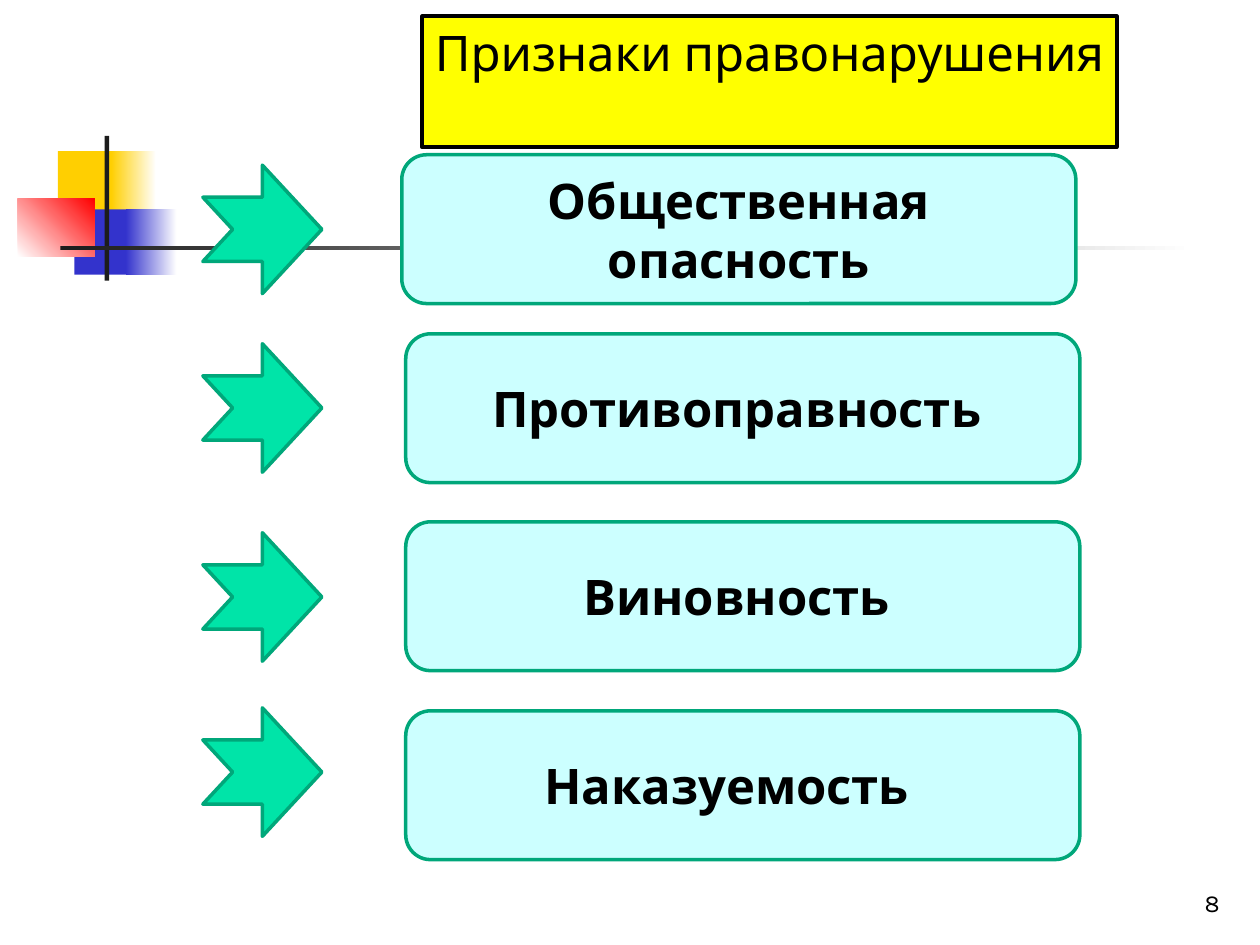
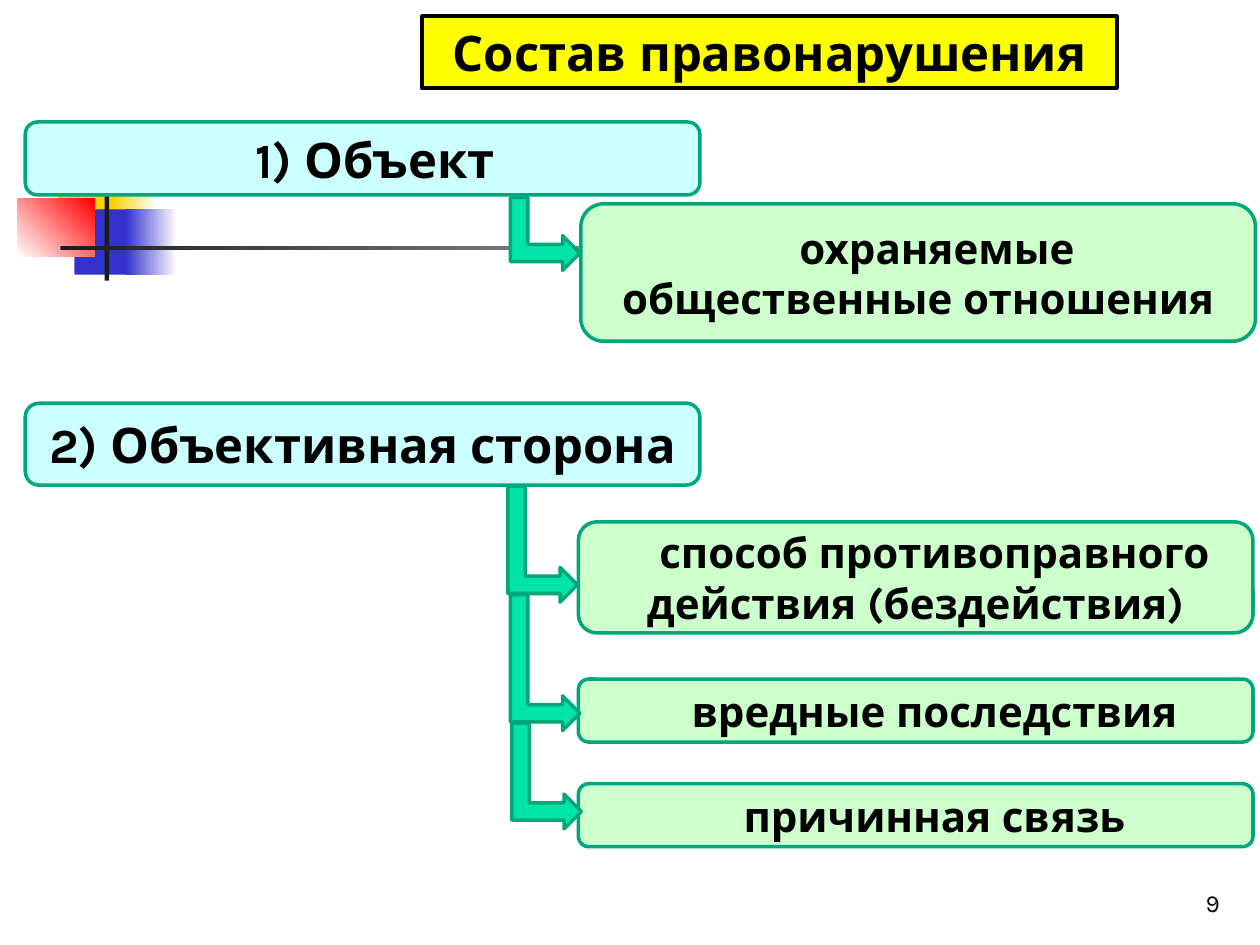
"""Build two slides on the features and the composition of an offence."""
from pptx import Presentation
from pptx import util as u
from pptx.dml.color import RGBColor
from pptx.enum import shapes, text

FONT = "Karla"
BLACK, WHITE, DARK = "000000", "FFFFFF", "1C1C1C"
YELLOW, GOLD, BLUE, RED = "FFFF00", "FFCF01", "3333CC", "FF0000"
CYAN, LIME, MINT, GREEN = "CCFFFF", "CCFFCC", "00E4A8", "00A77A"
KIND = shapes.MSO_SHAPE

DECOR = [
    (1.17, 3.05, 1.22, 1.32, GOLD, None, 0),
    (2.24, 3.05, 0.91, 1.32, GOLD, WHITE, 0),
    (1.5, 4.22, 1.17, 1.32, BLUE, None, 0),
    (2.54, 4.22, 1.02, 1.32, BLUE, WHITE, 0),
    (0.36, 4.01, 1.55, 1.17, WHITE, RED, 45),
    (2.11, 2.74, 0.09, 2.92, DARK, None, 0),
    (1.22, 4.95, 22.86, 0.09, DARK, WHITE, 0),
]
TITLES = [
    (8, "Признаки правонарушения", 2.64, False),
    (9, "Состав правонарушения", 1.45, True),
]
FEATURES = [
    (8.1, 3.12, 3.33, "Общественная опасность", 0.25),
    (8.18, 6.73, 6.93, "Противоправность", 0.5),
    (8.18, 10.52, 10.74, "Виновность", 0.5),
    (8.18, 14.33, 14.27, "Наказуемость", 0.9),
]
ELEMENTS = [
    (0.51, 2.46, 1.47, CYAN, 28, "1) Объект", 0.5),
    (0.51, 8.13, 1.65, CYAN, 28, "2) Объективная сторона", 0),
    (11.71, 4.11, 2.77, LIME, 24, "охраняемые общественные отношения", 0.76),
    (11.66, 10.52, 2.24, LIME, 24,
     "способ противоправного действия (бездействия)", 0.76),
    (11.66, 13.69, 1.27, LIME, 24, "вредные последствия", 0.76),
    (11.66, 15.8, 1.27, LIME, 24, "причинная связь", 0.76),
]
ELBOWS = [(10.29, 3.98, 1.47), (10.24, 9.8, 2.34),
          (10.29, 11.99, 2.74), (10.32, 14.58, 2.13)]
ELBOW_WIDTH = 1.4


def add(s, kind, left, top, width, height, fill, line=None):
    """Add a filled preset shape, outlined if a line colour is given."""
    sp = s.shapes.add_shape(kind, u.Cm(left), u.Cm(top), u.Cm(width), u.Cm(height))
    sp.shadow.inherit = False
    sp.fill.solid()
    sp.fill.fore_color.rgb = RGBColor.from_string(fill)
    if line:
        sp.line.color.rgb = RGBColor.from_string(line)
        sp.line.width = u.Pt(2)
    else:
        sp.line.fill.background()
    return sp


def write(sp, words, size, bold=True, align=text.PP_ALIGN.CENTER,
          anchor=text.MSO_ANCHOR.MIDDLE, wrap=True):
    """Write one formatted paragraph into a shape and return it."""
    tf = sp.text_frame
    tf.auto_size = text.MSO_AUTO_SIZE.NONE
    tf.word_wrap = wrap
    tf.vertical_anchor = anchor
    p = tf.paragraphs[0]
    p.text = words
    p.alignment = align
    p.font.name = FONT
    p.font.size = u.Pt(size)
    p.font.bold = bold
    p.font.color.rgb = RGBColor.from_string(BLACK)
    return p


prs = Presentation()
prs.slide_width, prs.slide_height = u.Cm(25.4), u.Cm(19.05)

for number, words, height, bold in TITLES:
    s = prs.slides.add_slide(prs.slide_layouts[5])
    for left, top, w, h, start, end, angle in DECOR:
        sp = add(s, KIND.RECTANGLE, left, top, w, h, start)
        if end:
            sp.fill.gradient()
            sp.fill.gradient_angle = angle
            for stop, color in zip(sp.fill.gradient_stops, (start, end)):
                stop.color.rgb = RGBColor.from_string(color)

    sp = s.shapes.add_textbox(u.Cm(19.56), u.Cm(17.35), u.Cm(5.28), u.Cm(1.27))
    write(sp, str(number), 14, False, text.PP_ALIGN.RIGHT, text.MSO_ANCHOR.BOTTOM)

    title = s.shapes.title
    title.left, title.top = u.Cm(8.51), u.Cm(0.33)
    title.width, title.height = u.Cm(14), u.Cm(height)
    title.fill.solid()
    title.fill.fore_color.rgb = RGBColor.from_string(YELLOW)
    title.line.color.rgb = RGBColor.from_string(BLACK)
    title.line.width = u.Pt(2.25)
    write(title, words, 28, bold, anchor=text.MSO_ANCHOR.TOP, wrap=False)

features, composition = prs.slides

for left, top, arrow_top, words, margin in FEATURES:
    sp = add(features, KIND.ROUNDED_RECTANGLE, left, top, 13.59, 3, CYAN, GREEN)
    write(sp, words, 28)
    sp.text_frame.margin_right = u.Cm(margin)
    add(features, KIND.NOTCHED_RIGHT_ARROW, 4.09, arrow_top, 2.4, 2.59, MINT, GREEN)

for left, top, height, fill, size, words, indent in ELEMENTS:
    sp = add(composition, KIND.ROUNDED_RECTANGLE, left, top, 13.6, height, fill, GREEN)
    p = write(sp, words, size)
    p._p.get_or_add_pPr().set("indent", str(int(u.Cm(indent))))

for left, top, length in ELBOWS:
    shift = (length - ELBOW_WIDTH) / 2
    sp = add(composition, KIND.BENT_UP_ARROW, left - shift, top + shift,
             length, ELBOW_WIDTH, MINT, GREEN)
    sp.rotation = 90

prs.save("out.pptx")
